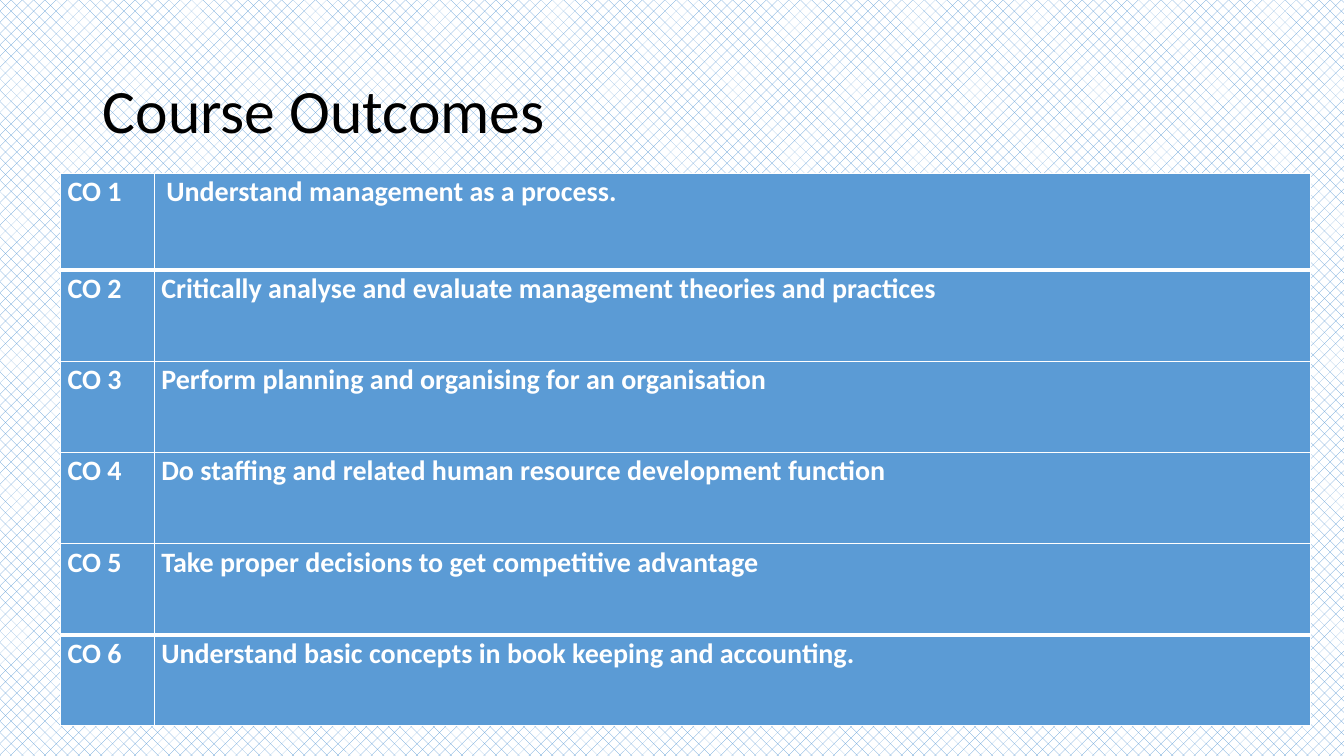
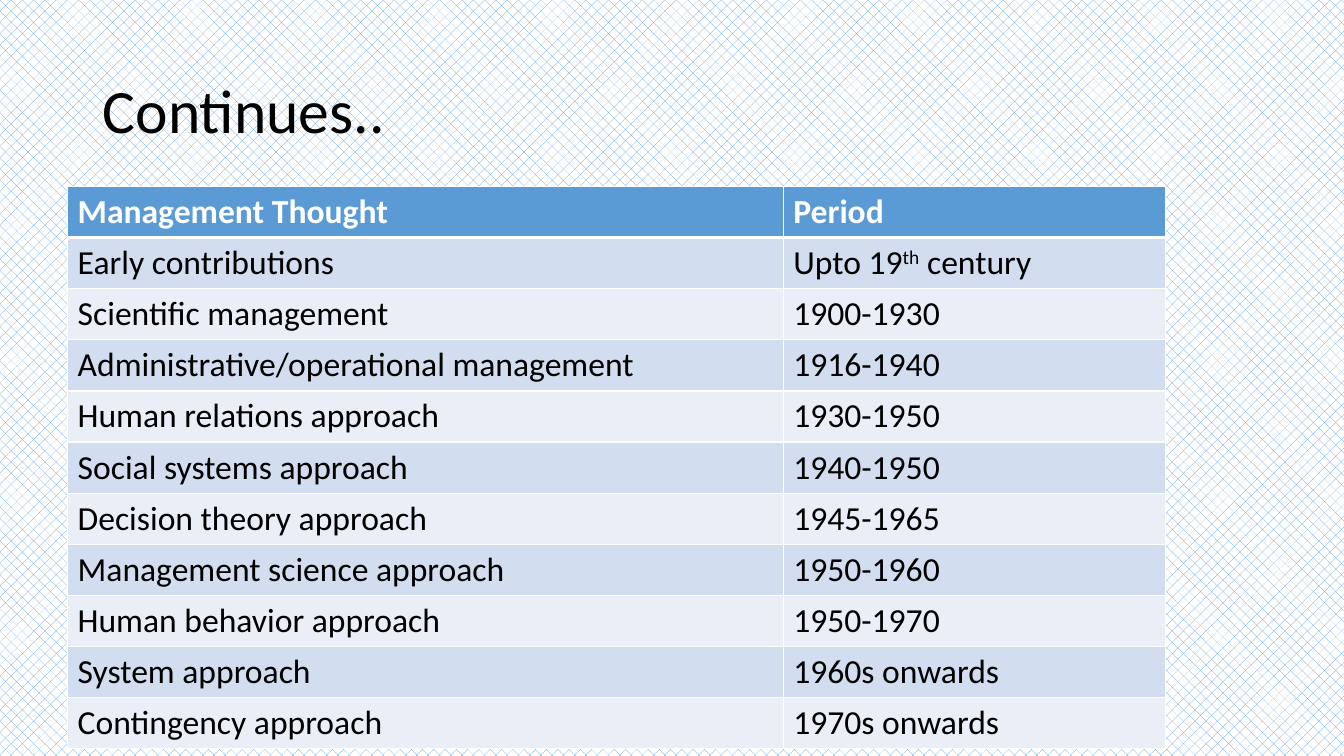
import pptx
import pptx.util
import pptx.dml.color
import pptx.enum.dml
import pptx.enum.text
import pptx.oxml
import pptx.oxml.ns

BLUE, WHITE, BLACK = "5B9BD5", "FFFFFF", "000000"
BANDS = ("D2DEEF", "EAEFF7")
FONT = "Calibri"
THIN, THICK = 1, 3


def color(code):
    return pptx.dml.color.RGBColor.from_string(code)


class Deck:
    """Holds the style and the current slide; lengths are percent of the slide."""

    def __init__(self):
        self.show = pptx.Presentation()
        self.show.slide_width = pptx.util.Inches(13.33)
        self.show.slide_height = pptx.util.Inches(7.5)
        self.slide = None

    def wide(self, share):
        return round(self.show.slide_width * share / 100)

    def high(self, share):
        return round(self.show.slide_height * share / 100)

    def style(self, para, size, code, bold=False):
        font = para.font
        font.name, font.size, font.bold = FONT, pptx.util.Pt(size), bold
        font.color.rgb = color(code)

    def page(self, title):
        """Start a patterned slide with a title."""
        self.slide = self.show.slides.add_slide(self.show.slide_layouts[5])
        fill = self.slide.background.fill
        fill.patterned()
        fill.pattern = pptx.enum.dml.MSO_PATTERN.PERCENT_25
        fill.fore_color.rgb, fill.back_color.rgb = color(BLUE), color(WHITE)

        head = self.slide.shapes.title
        head.left, head.top = self.wide(6.9), self.high(5.33)
        head.width, head.height = self.wide(86.25), self.high(19.33)
        frame = head.text_frame
        frame.text = title
        frame.word_wrap = True
        frame.vertical_anchor = pptx.enum.text.MSO_ANCHOR.MIDDLE
        para = frame.paragraphs[0]
        para.alignment = pptx.enum.text.PP_ALIGN.LEFT
        para.line_spacing = 0.9
        self.style(para, 44, BLACK)

    def table(self, left, top, cols, rows, data):
        """Add a plain table filled with text; return its grid."""
        frame = self.slide.shapes.add_table(
            len(rows), len(cols), self.wide(left), self.high(top),
            self.wide(sum(cols)), self.high(sum(rows)))
        grid = frame.table
        grid.first_row = grid.horz_banding = False
        for col, share in zip(grid.columns, cols):
            col.width = self.wide(share)
        for row, share, texts in zip(grid.rows, rows, data):
            row.height = self.high(share)
            for cell, text in zip(row.cells, texts):
                self.label(cell.text_frame.paragraphs[0], text)
        return grid

    def label(self, para, text):
        """Add text in which ^marks^ enclose a superscript."""
        for i, part in enumerate(text.split("^")):
            run = para.add_run()
            run.text = part
            if i % 2:
                run.font._element.set("baseline", "30000")

    def paint(self, cell, code, top=THIN, bottom=THIN):
        """Fill a cell and draw its white borders."""
        props = cell._tc.get_or_add_tcPr()
        for side, width in zip("LRTB", (THIN, THIN, top, bottom)):
            props.append(pptx.oxml.parse_xml(
                f'<a:ln{side} {pptx.oxml.ns.nsdecls("a")} w="{pptx.util.Pt(width)}">'
                f'<a:solidFill><a:srgbClr val="{WHITE}"/></a:solidFill></a:ln{side}>'))
        cell.fill.solid()
        cell.fill.fore_color.rgb = color(code)


def goals(deck):
    deck.page("Course Outcomes")
    texts = (
        "Understand management as a process.",
        "Critically analyse and evaluate management theories and practices",
        "Perform planning and organising for an organisation",
        "Do staffing and related human resource development function",
        "Take proper decisions to get competitive advantage",
        "Understand basic concepts in book keeping and accounting.",
    )
    last = len(texts) - 1
    data = [(f"CO {i}", text) for i, text in enumerate(texts, 1)]
    grid = deck.table(4.5, 22.93, (6.98, 86.02), [12.8] + [12.06] * last, data)
    for i, row in enumerate(grid.rows):
        for j, cell in enumerate(row.cells):
            deck.paint(cell, BLUE,
                       top=THICK if i in (1, last) else THIN,
                       bottom=THICK if i in (0, last - 1) else THIN)
            cell.margin_left = pptx.util.Inches(0.12 if (i, j) == (0, 1) else 0.07)
            cell.margin_top = pptx.util.Inches(0.18)
            cell.margin_right = cell.margin_bottom = 0
            para = cell.text_frame.paragraphs[0]
            para.line_spacing = pptx.util.Pt(12.8)
            deck.style(para, 20, WHITE, True)


def eras(deck):
    deck.page("Continues..")
    data = (
        ("Management Thought", "Period"),
        ("Early contributions", "Upto 19^th^ century"),
        ("Scientific management", "1900-1930"),
        ("Administrative/operational management", "1916-1940"),
        ("Human relations approach", "1930-1950"),
        ("Social systems approach", "1940-1950"),
        ("Decision theory approach", "1945-1965"),
        ("Management science approach", "1950-1960"),
        ("Human behavior approach", "1950-1970"),
        ("System approach", "1960s onwards"),
        ("Contingency approach", "1970s onwards"),
    )
    grid = deck.table(5.03, 24.67, (53.25, 28.43), [6.67] * len(data), data)
    for i, row in enumerate(grid.rows):
        head = i == 0
        for cell in row.cells:
            deck.paint(cell, BLUE if head else BANDS[(i - 1) % 2],
                       top=THICK if i == 1 else THIN,
                       bottom=THICK if head else THIN)
            deck.style(cell.text_frame.paragraphs[0], 24,
                       WHITE if head else BLACK, head)


def main():
    deck = Deck()
    goals(deck)
    eras(deck)
    deck.show.save("out.pptx")


if __name__ == "__main__":
    main()
